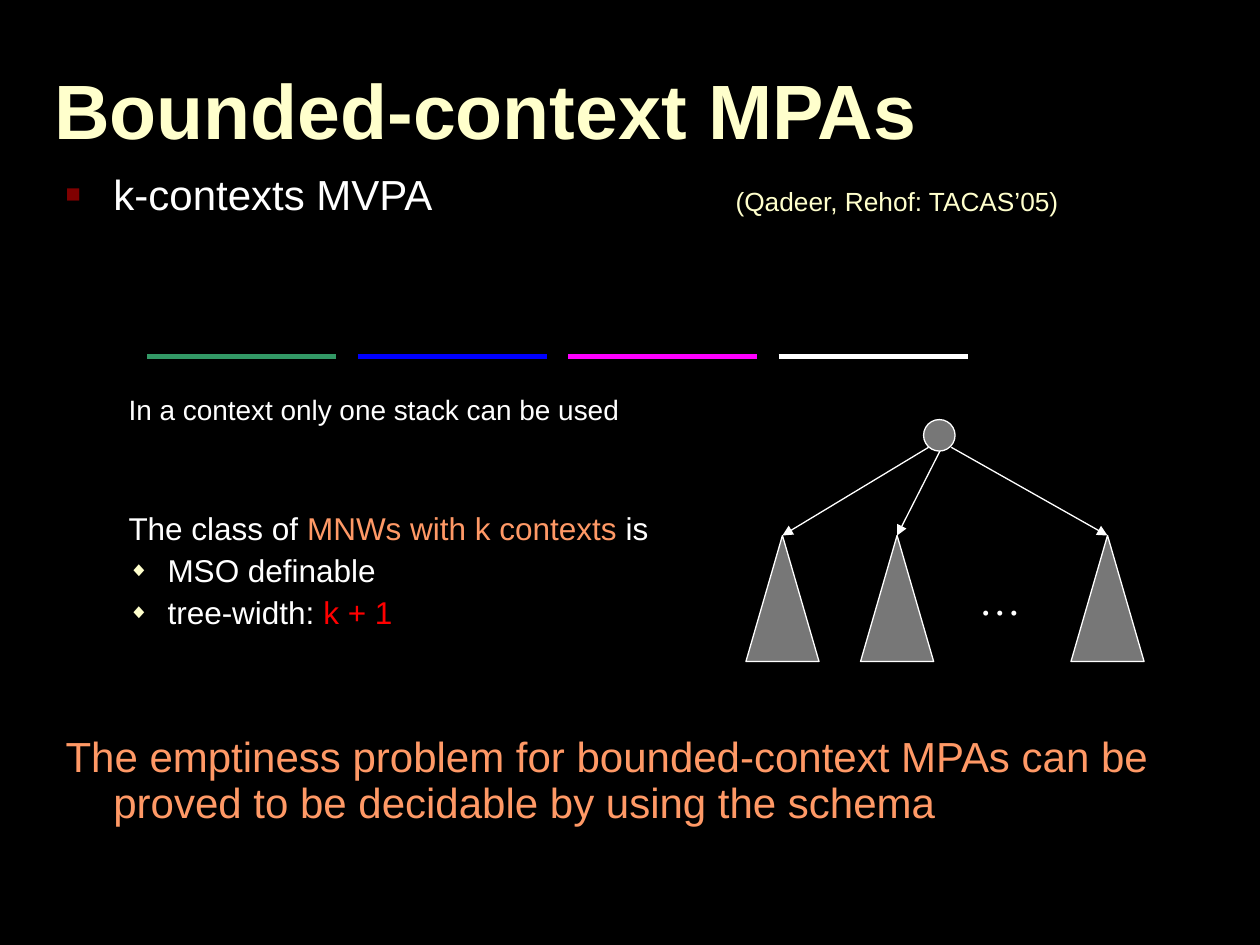
from lxml import etree
from pptx import Presentation
from pptx.dml.color import RGBColor
from pptx.enum import shapes, text
from pptx.oxml import ns
from pptx.util import Inches, Pt

BLACK = RGBColor(0x00, 0x00, 0x00)
WHITE = RGBColor(0xFF, 0xFF, 0xFF)
CREAM = RGBColor(0xFF, 0xFF, 0xCC)
ORANGE = RGBColor(0xFF, 0x99, 0x66)
RED = RGBColor(0xFF, 0x00, 0x00)
MAROON = RGBColor(0x80, 0x00, 0x00)
GREEN = RGBColor(0x33, 0x99, 0x66)
BLUE = RGBColor(0x00, 0x00, 0xFF)
MAGENTA = RGBColor(0xFF, 0x00, 0xFF)
GRAY = RGBColor(0x77, 0x77, 0x77)

TITLE = "Bounded-context MPAs"
CITATION = "(Qadeer, Rehof: TACAS’05)"
SQUARE = ("■", MAROON, 60)
DIAMOND = ("◆", CREAM, 65)
# level, size, space before, bullet, runs of (text, colour)
BODY = [
    (0, 24, 0, SQUARE, [("k-contexts MVPA", WHITE)]),
    (1, 16, 101, None, [("In a context only one stack can be used", WHITE)]),
    (1, 18, 50, None, [("The class of ", WHITE), ("MNWs with k contexts", ORANGE), (" is", WHITE)]),
    (1, 18, 4.5, DIAMOND, [("MSO definable", WHITE)]),
    (1, 18, 4.5, DIAMOND, [("tree-width: ", WHITE), ("k + 1", RED)]),
    (0, 24, 60, None, [("The emptiness problem for bounded-context MPAs can be "
                        "proved to be decidable by using the schema", ORANGE)]),
]
INDENTS = [(0.38, -0.38), (0.81, -0.31)]  # left margin and first line, by level

CONTEXT_COLORS = [GREEN, BLUE, MAGENTA, WHITE]
CONTEXT_LEFT, CONTEXT_TOP, CONTEXT_WIDTH, CONTEXT_STEP = 1.17, 2.83, 1.5, 1.67

ROOT = (7.33, 3.33, 0.25, 0.25)
SUBTREE_TOP, SUBTREE_WIDTH, SUBTREE_HEIGHT = 4.25, 0.58, 1
# left of each subtree, and where its edge leaves the root
SUBTREES = [(5.92, (7.37, 3.55)), (6.83, (7.46, 3.58)), (8.5, (7.55, 3.55))]


def style_font(font, size, color, name="Arial", bold=False):
    font.size, font.name, font.bold = Pt(size), name, bold
    font.color.rgb = color


def set_indent_and_bullet(paragraph, level, bullet):
    properties = paragraph._p.get_or_add_pPr()
    left, first = INDENTS[level]
    properties.set("marL", str(Inches(left)))
    properties.set("indent", str(Inches(first)))
    if bullet is None:
        etree.SubElement(properties, ns.qn("a:buNone"))
        return
    character, color, percent = bullet
    bullet_color = etree.SubElement(properties, ns.qn("a:buClr"))
    etree.SubElement(bullet_color, ns.qn("a:srgbClr"), val=str(color))
    etree.SubElement(properties, ns.qn("a:buSzPct"), val=str(percent * 1000))
    etree.SubElement(properties, ns.qn("a:buFont"), typeface="Arial")
    etree.SubElement(properties, ns.qn("a:buChar"), char=character)


def place(shape, left, top, width, height):
    shape.left, shape.top = Inches(left), Inches(top)
    shape.width, shape.height = Inches(width), Inches(height)


def add_label(slide, label, box, size, color, name):
    shape = slide.shapes.add_textbox(*map(Inches, box))
    shape.text_frame.text = label
    shape.text_frame.word_wrap = False
    style_font(shape.text_frame.paragraphs[0].runs[0].font, size, color, name)


def add_line(slide, start, end, color, width, arrow=False):
    line = slide.shapes.add_connector(
        shapes.MSO_CONNECTOR.STRAIGHT, *map(Inches, (*start, *end)))
    line.line.color.rgb = color
    line.line.width = Pt(width)
    if arrow:
        etree.SubElement(line.line._get_or_add_ln(), ns.qn("a:tailEnd"), type="triangle")
    etree.SubElement(line._element.spPr, ns.qn("a:effectLst"))
    return line


def add_node(slide, kind, box):
    node = slide.shapes.add_shape(kind, *map(Inches, box))
    node.shadow.inherit = False
    node.fill.solid()
    node.fill.fore_color.rgb = GRAY
    node.line.color.rgb = WHITE
    node.line.width = Pt(0.75)
    return node


def fill_title(title):
    place(title, 0.33, 0.33, 9.08, 1.25)
    title.text_frame.text = TITLE
    title.text_frame.vertical_anchor = text.MSO_ANCHOR.MIDDLE
    paragraph = title.text_frame.paragraphs[0]
    paragraph.alignment = text.PP_ALIGN.LEFT
    paragraph.line_spacing = 0.7
    style_font(paragraph.runs[0].font, 44, CREAM, bold=True)


def fill_body(body):
    place(body, 0.42, 1.33, 9.17, 5.5)
    frame = body.text_frame
    frame.text = "\n".join("".join(part for part, _ in row[-1]) for row in BODY)
    for paragraph, (level, size, before, bullet, runs) in zip(frame.paragraphs, BODY):
        paragraph.level = level
        paragraph.line_spacing = 0.9
        paragraph.space_before = Pt(before)
        set_indent_and_bullet(paragraph, level, bullet)
        paragraph.clear()
        for part, color in runs:
            run = paragraph.add_run()
            run.text = part
            style_font(run.font, size, color)


def draw_contexts(slide):
    for index, color in enumerate(CONTEXT_COLORS):
        left = CONTEXT_LEFT + index * CONTEXT_STEP
        add_line(slide, (left, CONTEXT_TOP), (left + CONTEXT_WIDTH, CONTEXT_TOP), color, 2.75)


def draw_tree(slide):
    add_node(slide, shapes.MSO_SHAPE.OVAL, ROOT)
    for left, start in SUBTREES:
        subtree = add_node(slide, shapes.MSO_SHAPE.ISOSCELES_TRIANGLE,
                           (left, SUBTREE_TOP, SUBTREE_WIDTH, SUBTREE_HEIGHT))
        apex = (left + SUBTREE_WIDTH / 2, SUBTREE_TOP)
        edge = add_line(slide, start, apex, WHITE, 0.75, arrow=True)
        edge.end_connect(subtree, 0)
    add_label(slide, "…", (7.67, 4.5, 0.53, 0.5), 24, WHITE, "Times New Roman")


def main():
    presentation = Presentation()
    presentation.slide_width, presentation.slide_height = Inches(10), Inches(7.5)
    slide = presentation.slides.add_slide(presentation.slide_layouts[1])
    slide.background.fill.solid()
    slide.background.fill.fore_color.rgb = BLACK
    fill_title(slide.shapes.title)
    fill_body(slide.placeholders[1])
    add_label(slide, CITATION, (5.74, 1.42, 2.76, 0.34), 15, CREAM, "Arial")
    draw_contexts(slide)
    draw_tree(slide)
    presentation.save("out.pptx")


if __name__ == "__main__":
    main()
